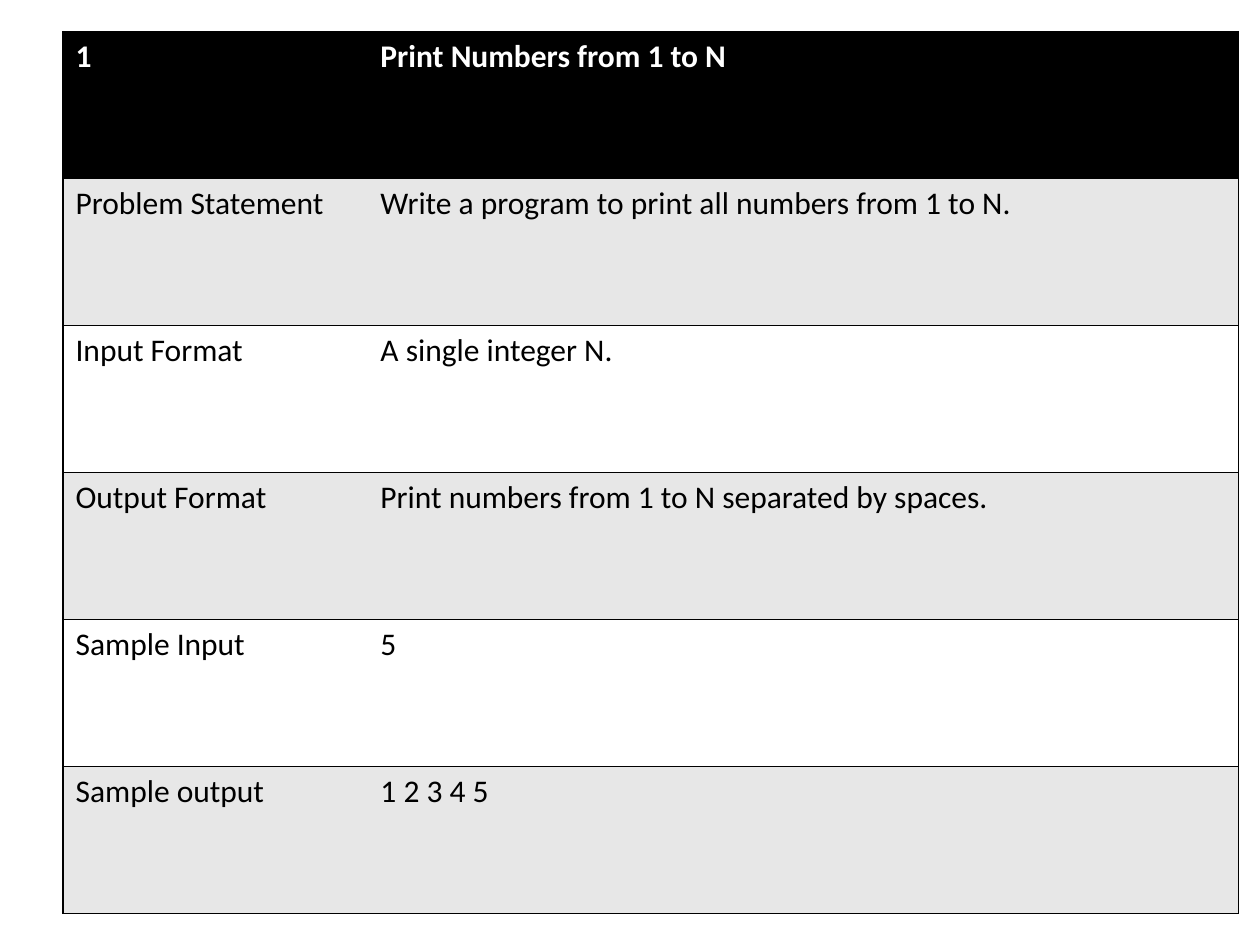
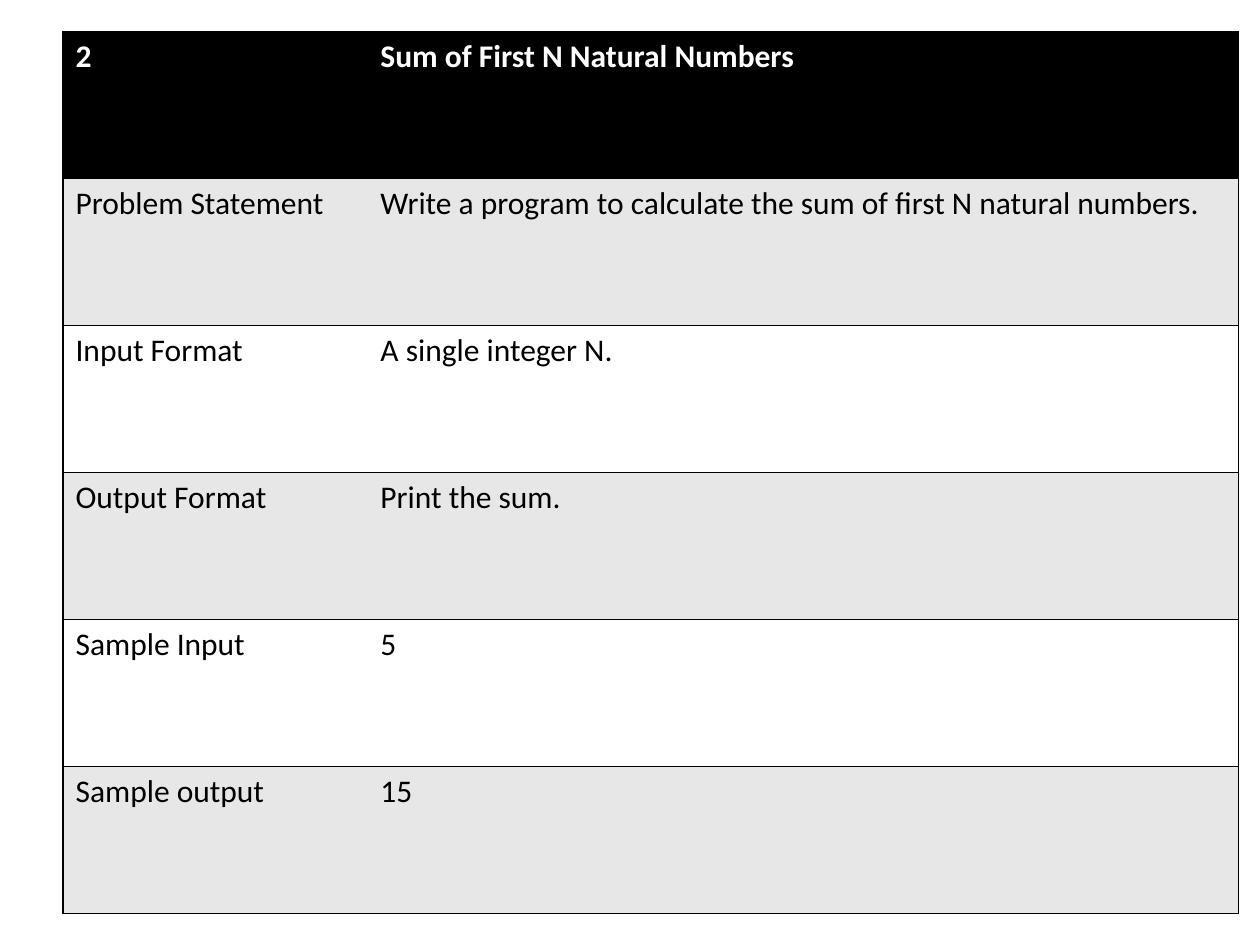
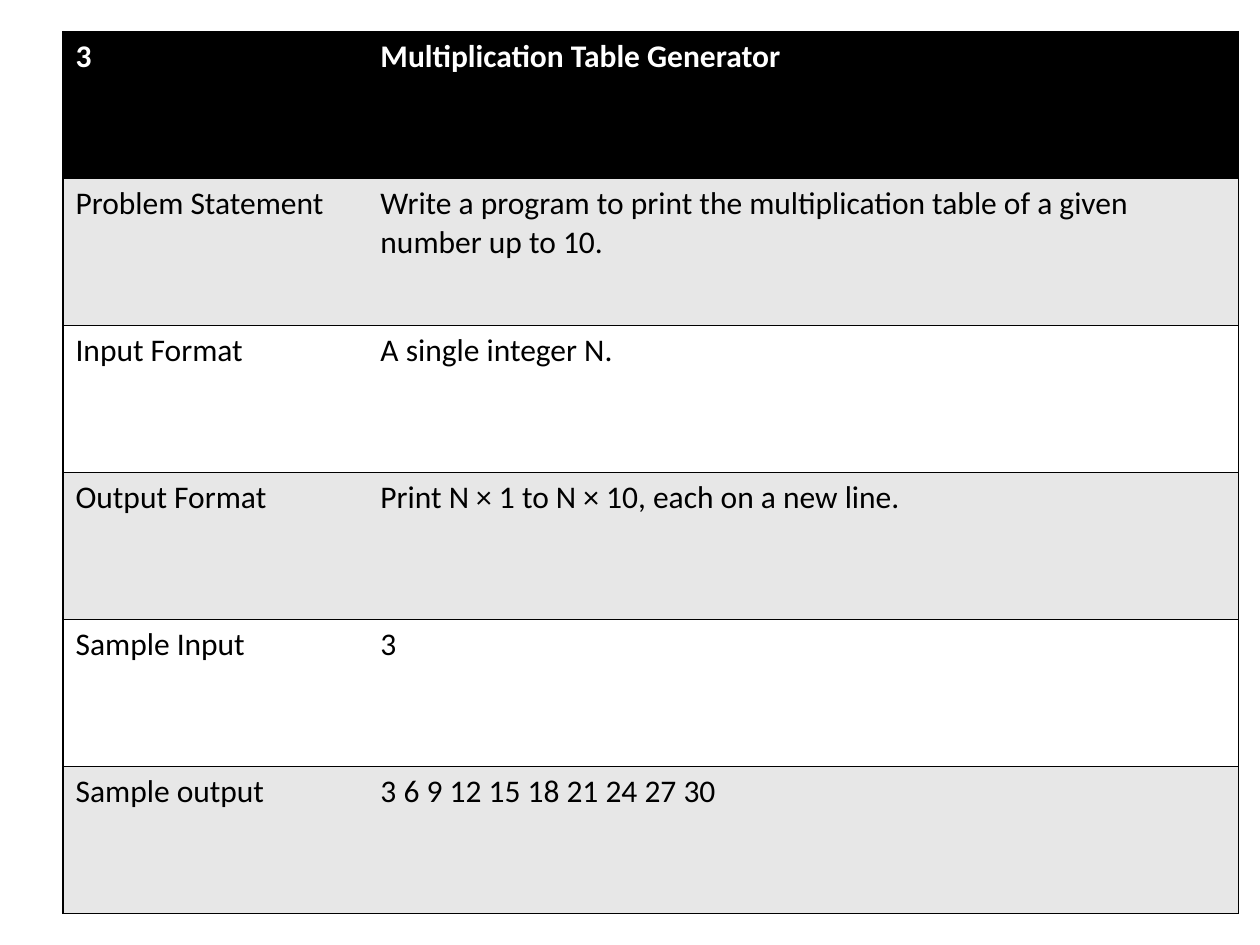
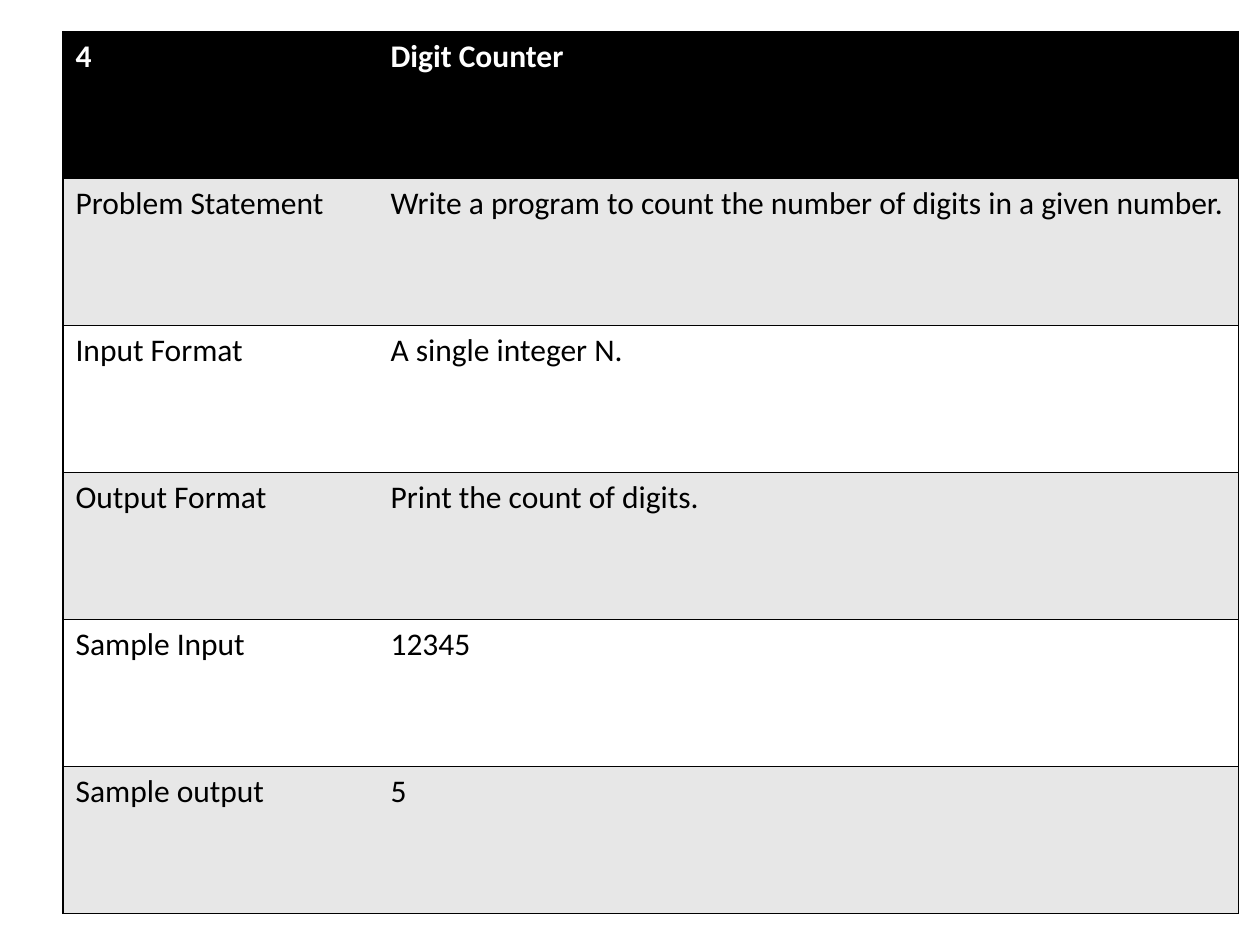
from lxml.etree import SubElement
from pptx import Presentation
from pptx.dml.color import RGBColor
from pptx.oxml.ns import qn
from pptx.util import Inches, Pt

BLACK = RGBColor(0x00, 0x00, 0x00)
WHITE = RGBColor(0xFF, 0xFF, 0xFF)
BAND_GREY = RGBColor(0xE7, 0xE7, 0xE7)

TABLE_LEFT, TABLE_TOP = 0.5, 0.25
TABLE_WIDTH, TABLE_HEIGHT = 9.33, 7
LABEL_WIDTH = 2.42
WIDE_LABEL_WIDTH = 2.5

HEADER_FORMAT = {"name": "Calibri", "size": Pt(18), "bold": True}
BODY_FORMAT = {**HEADER_FORMAT, "bold": False}

FIELD_LABELS = ["Problem Statement", "Input Format", "Output Format", "Sample Input", "Sample output"]
PROBLEMS = [
    ("Print Numbers from 1 to N", LABEL_WIDTH, [
        "Write a program to print all numbers from 1 to N.",
        "A single integer N.",
        "Print numbers from 1 to N separated by spaces.",
        "5",
        "1 2 3 4 5",
    ]),
    ("Sum of First N Natural Numbers", LABEL_WIDTH, [
        "Write a program to calculate the sum of first N natural numbers.",
        "A single integer N.",
        "Print the sum.",
        "5",
        "15",
    ]),
    ("Multiplication Table Generator", LABEL_WIDTH, [
        "Write a program to print the multiplication table of a given number up to 10.",
        "A single integer N.",
        "Print N × 1 to N × 10, each on a new line.",
        "3",
        "3 6 9 12 15 18 21 24 27 30",
    ]),
    ("Digit Counter", WIDE_LABEL_WIDTH, [
        "Write a program to count the number of digits in a given number.",
        "A single integer N.",
        "Print the count of digits.",
        "12345",
        "5",
    ]),
]


def set_borders(cell, drawn_sides):
    """Draw thin black borders on the given sides and clear the others."""
    properties = cell._tc.get_or_add_tcPr()
    for position, side in enumerate("LRTB"):
        border = SubElement(properties, qn(f"a:ln{side}"), w=str(Pt(1)))
        if side in drawn_sides:
            line_fill = SubElement(border, qn("a:solidFill"))
            SubElement(line_fill, qn("a:srgbClr"), val=str(BLACK))
        else:
            SubElement(border, qn("a:noFill"))
        properties.insert(position, border)


def fill_cell(cell, text, background, text_color, text_format):
    """Write one cell's text and set its background and font."""
    cell.fill.solid()
    cell.fill.fore_color.rgb = background
    paragraph = cell.text_frame.paragraphs[0]
    run = paragraph.add_run()
    run.text = text
    for attribute, value in text_format.items():
        setattr(run.font, attribute, value)
    run.font.color.rgb = text_color


def row_style(row_index):
    """Return the background, text colour and font format of a row."""
    if row_index == 0:
        return BLACK, WHITE, HEADER_FORMAT
    return (BAND_GREY if row_index % 2 else WHITE), BLACK, BODY_FORMAT


def add_problem_table(slide, rows, label_width):
    """Add the two-column table that describes one problem."""
    table = slide.shapes.add_table(
        len(rows), 2, Inches(TABLE_LEFT), Inches(TABLE_TOP),
        Inches(TABLE_WIDTH), Inches(TABLE_HEIGHT),
    ).table
    table.columns[0].width = Inches(label_width)
    table.columns[1].width = Inches(TABLE_WIDTH - label_width)
    for row_index, texts in enumerate(rows):
        for column_index, text in enumerate(texts):
            cell = table.cell(row_index, column_index)
            fill_cell(cell, text, *row_style(row_index))
            set_borders(cell, "RTB" if column_index else "LTB")


def main():
    """Build one slide for each problem and save the presentation."""
    presentation = Presentation()
    presentation.slide_width = Inches(10)
    presentation.slide_height = Inches(7.5)
    blank_layout = presentation.slide_layouts[6]
    for number, (title, label_width, details) in enumerate(PROBLEMS, start=1):
        slide = presentation.slides.add_slide(blank_layout)
        rows = [(str(number), title), *zip(FIELD_LABELS, details)]
        add_problem_table(slide, rows, label_width)
    presentation.save("out.pptx")


if __name__ == "__main__":
    main()
